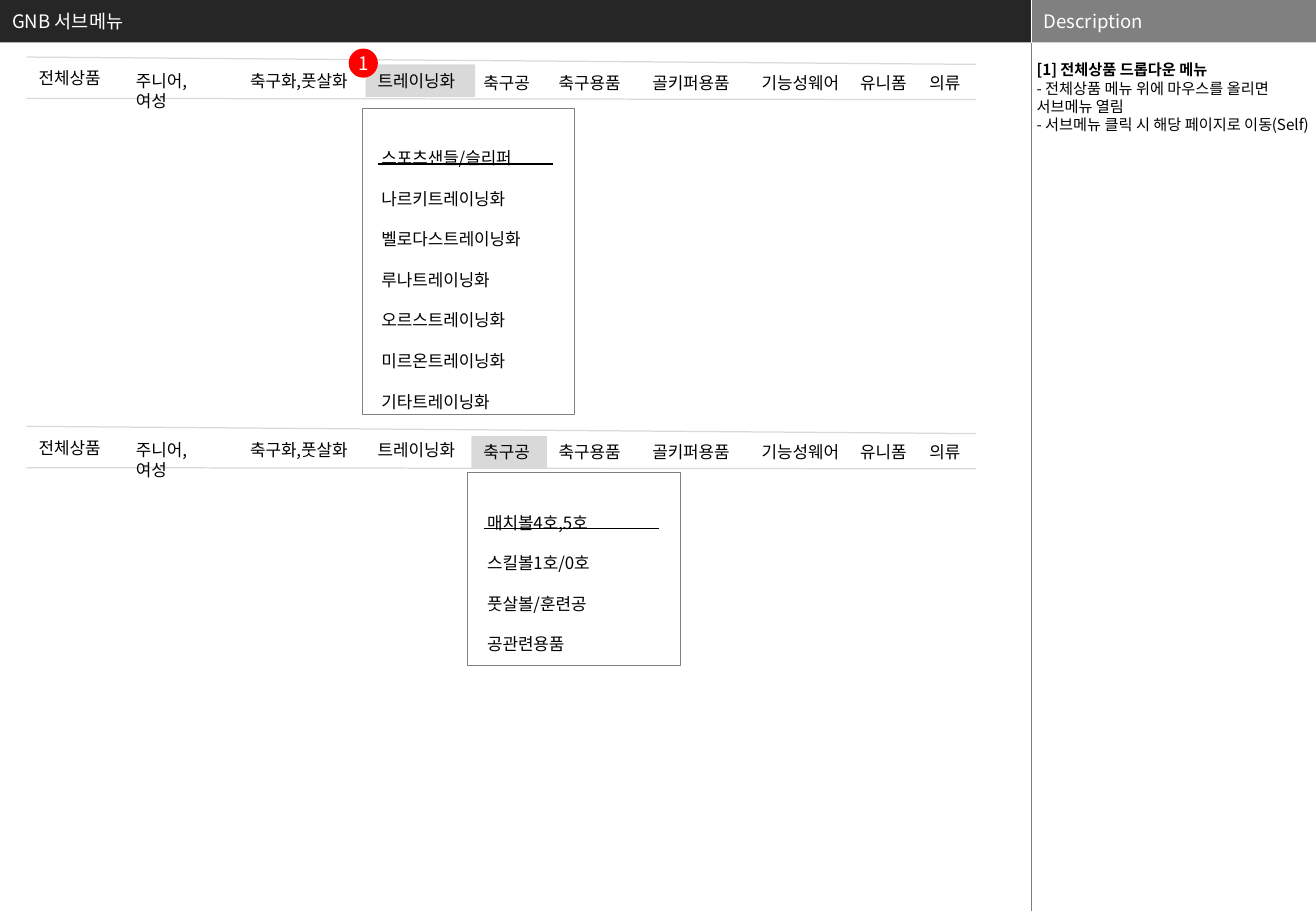
from pptx import Presentation
from pptx.dml.color import RGBColor
from pptx.enum.shapes import MSO_CONNECTOR, MSO_SHAPE
from pptx.enum.text import MSO_ANCHOR, MSO_AUTO_SIZE, PP_ALIGN
from pptx.oxml.ns import qn
from pptx.util import Inches, Pt
from lxml import etree

RECT, OVAL = MSO_SHAPE.RECTANGLE, MSO_SHAPE.OVAL
STRAIGHT = MSO_CONNECTOR.STRAIGHT
TOP, MIDDLE = MSO_ANCHOR.TOP, MSO_ANCHOR.MIDDLE
LEFT, CENTER = PP_ALIGN.LEFT, PP_ALIGN.CENTER
FIXED = MSO_AUTO_SIZE.NONE
FONT = "Noto Sans CJK KR"
COLORS = {"header": "262626", "side": "808080", "divider": "7F7F7F", "rule": "D9D9D9",
          "badge": "FF0000", "ink": "000000", "paper": "FFFFFF"}
RGB = {role: RGBColor.from_string(value) for role, value in COLORS.items()}

WIDTH, HEIGHT, BAR, SPLIT = 10.83, 7.5, 0.35, 8.49
SIDE = WIDTH - SPLIT
ITEM_HEIGHT, SUB_ROW = 0.27, 0.33

MENU = [("전체상품", 0.22, 0.76, 0.51), ("주니어,여성", 1.02, 0.75, 0.53),
        ("축구화,풋살화", 1.96, 1.07, 0.53), ("트레이닝화", 3.01, 0.9, 0.53),
        ("축구공", 3.88, 0.62, 0.55), ("축구용품", 4.5, 0.76, 0.55),
        ("골키퍼용품", 5.27, 0.9, 0.55), ("기능성웨어", 6.17, 0.9, 0.55),
        ("유니폼", 6.98, 0.62, 0.55), ("의류", 7.55, 0.48, 0.55)]
DROPDOWNS = [
    (0, "트레이닝화", 2.98, 0.89, 2.52,
     ["스포츠샌들/슬리퍼", "나르키트레이닝화", "벨로다스트레이닝화", "루나트레이닝화",
      "오르스트레이닝화", "미르온트레이닝화", "기타트레이닝화"]),
    (3.04, "축구공", 3.85, 3.89, 1.59,
     ["매치볼4호,5호", "스킬볼1호/0호", "풋살볼/훈련공", "공관련용품"]),
]

deck = Presentation()
deck.slide_width, deck.slide_height = Inches(WIDTH), Inches(HEIGHT)
slide = deck.slides.add_slide(deck.slide_layouts[1])
shapes = slide.shapes


def write(holder, lines, size, color="ink", margins=(0.1, 0.05), anchor=TOP,
          align=LEFT, wrap=True, spacing=None):
    frame = holder.text_frame
    frame.text = "\n".join(lines)
    frame.auto_size, frame.word_wrap, frame.vertical_anchor = FIXED, wrap, anchor
    frame.margin_left = frame.margin_right = Inches(margins[0])
    frame.margin_top = frame.margin_bottom = Inches(margins[1])
    for paragraph in frame.paragraphs:
        paragraph.alignment, paragraph.space_before = align, Pt(0)
        if spacing:
            paragraph.line_spacing = spacing
        for run in paragraph.runs:
            run.font.name, run.font.size = FONT, Pt(size)
            run.font.color.rgb = RGB[color]
            etree.SubElement(run.font._element, qn("a:ea"), typeface=FONT)


def draw_line(x1, y1, x2, y2, color, weight):
    line = shapes.add_connector(STRAIGHT, Inches(x1), Inches(y1), Inches(x2), Inches(y2))
    line.line.color.rgb, line.line.width = RGB[color], Pt(weight)
    etree.SubElement(line._element.spPr, qn("a:effectLst"))


title, description = shapes.title, slide.placeholders[1]
side_header = shapes.add_shape(RECT, Inches(SPLIT), 0, Inches(SIDE), Inches(BAR))
side_header.shadow.inherit = False
for header, left, width, words, color in [(title, 0, SPLIT, "GNB 서브메뉴", "header"),
                                          (side_header, SPLIT, SIDE, "Description", "side")]:
    header.left, header.top = Inches(left), 0
    header.width, header.height = Inches(width), Inches(BAR)
    header.fill.solid()
    header.fill.fore_color.rgb = RGB[color]
    header.line.fill.background()
    write(header, [words], 11, "paper", anchor=MIDDLE)

draw_line(SPLIT, 0, SPLIT, BAR, "paper", 0.25)
draw_line(SPLIT, BAR, SPLIT, HEIGHT, "divider", 0.25)

description.left, description.top = Inches(SPLIT), Inches(BAR)
description.width, description.height = Inches(SIDE), Inches(HEIGHT - BAR)
write(description, ["[1] 전체상품 드롭다운 메뉴", "- 전체상품 메뉴 위에 마우스를 올리면 서브메뉴 열림",
                    "- 서브메뉴 클릭 시 해당 페이지로 이동(Self)"], 9, margins=(0.04, 0))
description.text_frame.margin_top = Inches(0.15)
description.text_frame.paragraphs[0].runs[0].font.bold = True
for paragraph in description.text_frame.paragraphs:
    properties = paragraph._p.get_or_add_pPr()
    properties.set("marL", "0")
    properties.set("indent", "0")
    etree.SubElement(properties, qn("a:buNone"))

for offset, active, panel_left, panel_top, panel_height, entries in DROPDOWNS:
    draw_line(0.22, offset + 0.47, 8.03, offset + 0.53, "rule", 0.75)
    draw_line(0.22, offset + 0.81, 8.03, offset + 0.82, "rule", 0.75)
    for name, left, width, top in MENU:
        item = shapes.add_textbox(Inches(left), Inches(offset + top),
                                  Inches(width), Inches(ITEM_HEIGHT))
        write(item, [name], 10, wrap=name == "주니어,여성")
        if name == active:
            item.fill.solid()
            item.fill.fore_color.rgb = RGB["rule"]

    panel = shapes.add_shape(RECT, Inches(panel_left), Inches(panel_top),
                             Inches(1.75), Inches(panel_height))
    panel.shadow.inherit = False
    panel.fill.background()
    panel.line.color.rgb, panel.line.width = RGB["side"], Pt(0.5)
    submenu = shapes.add_textbox(Inches(panel_left + 0.06), Inches(panel_top + 0.16),
                                 Inches(1.59), Inches(SUB_ROW * len(entries)))
    write(submenu, entries, 10, margins=(0.1, 0), spacing=2.0)
    draw_line(panel_left + 0.13, panel_top + 0.46, panel_left + 1.57, panel_top + 0.46, "ink", 0.75)

badge = shapes.add_shape(OVAL, Inches(2.87), Inches(0.4), Inches(0.24), Inches(0.24))
badge.shadow.inherit = False
badge.fill.solid()
badge.fill.fore_color.rgb = RGB["badge"]
badge.line.fill.background()
write(badge, ["1"], 11, "paper", margins=(0, 0), anchor=MIDDLE, align=CENTER, wrap=False)

deck.save("out.pptx")
